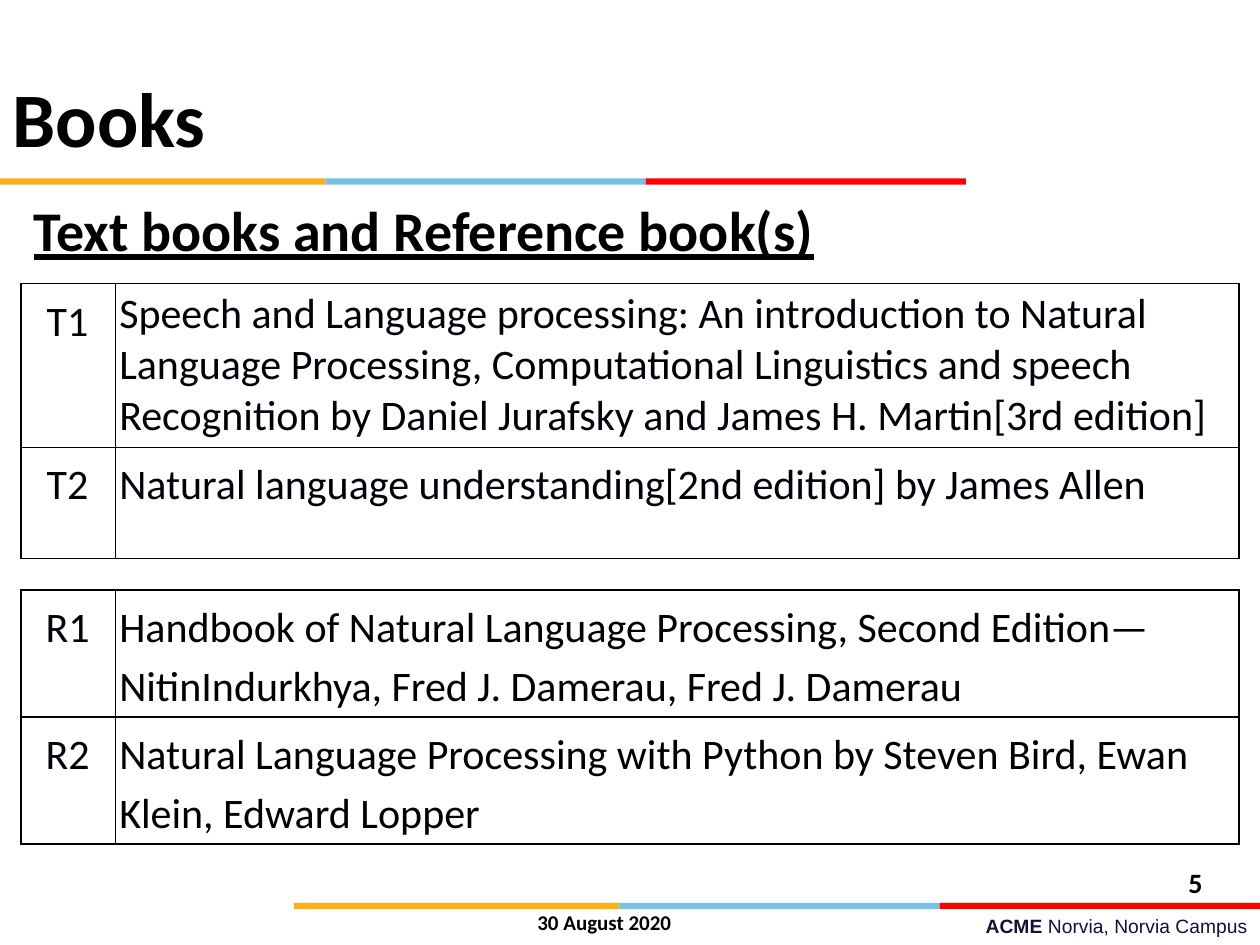
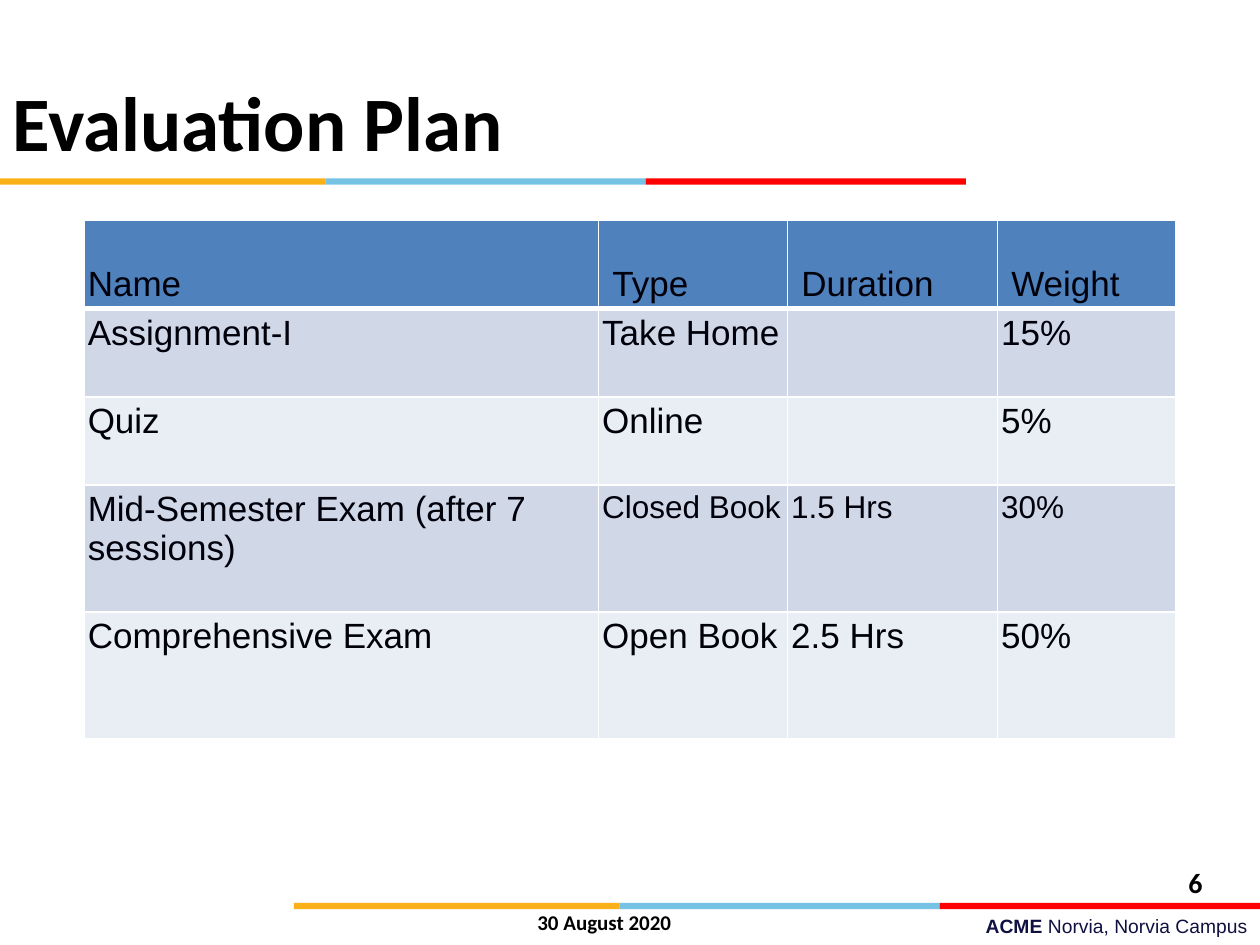
from dataclasses import dataclass
from itertools import accumulate
from typing import Optional

from lxml.etree import SubElement
from pptx import Presentation
from pptx.dml.color import RGBColor
from pptx.enum.shapes import MSO_SHAPE
from pptx.enum.text import MSO_ANCHOR, MSO_AUTO_SIZE, PP_ALIGN
from pptx.oxml.ns import qn
from pptx.util import Inches, Pt

COLUMNS, ROWS = 120, 90  # slide grid
WIDTH, HEIGHT = Inches(10), Inches(7.5)


@dataclass(frozen=True)
class Theme:
    heading_font: str = "Calibri"
    plain_font: str = "Arial"
    black: str = "000000"
    ink: str = "00000A"
    navy: str = "101141"
    white: str = "FFFFFF"
    rule: str = "000001"
    header: str = "4F81BD"
    band_dark: str = "D0D8E8"
    band_light: str = "E9EDF4"
    stripes: tuple[str, ...] = ("FCB017", "76C2E5", "FF0000")
    title: int = 44
    subtitle: int = 32
    book: int = 24
    plan: int = 20
    plan_small: int = 18
    number: int = 16
    date: int = 12
    campus: int = 11


THEME = Theme()


@dataclass(frozen=True)
class Area:
    """A place on the slide, in grid columns and rows."""
    left: float
    top: float
    width: float
    height: float

    def emu(self) -> tuple[int, int, int, int]:
        return across(self.left), down(self.top), across(self.width), down(self.height)


@dataclass(frozen=True)
class Style:
    size: int
    color: str = THEME.black
    font: str = THEME.heading_font
    bold: bool = False
    align: PP_ALIGN = PP_ALIGN.LEFT


@dataclass(frozen=True)
class Cell:
    text: str
    style: Style
    fill: str = THEME.white
    spaced: bool = False
    anchor: MSO_ANCHOR = MSO_ANCHOR.TOP
    left_margin: float = 0.03
    bottom_line: Optional[int] = None


@dataclass(frozen=True)
class Grid:
    left: float
    top: float
    widths: tuple[float, ...]
    heights: tuple[float, ...]
    cells: list[list[Cell]]
    line: str


def across(columns: float) -> int:
    return round(WIDTH * columns / COLUMNS)


def down(rows: float) -> int:
    return round(HEIGHT * rows / ROWS)


def rgb(color: str) -> RGBColor:
    return RGBColor.from_string(color)


def set_paragraph(para, text: str, style: Style) -> None:
    para.text = text
    para.alignment = style.align
    font = para.font
    font.name, font.size, font.bold = style.font, Pt(style.size), style.bold
    font.color.rgb = rgb(style.color)


def place(box, area: Area) -> None:
    box.left, box.top, box.width, box.height = area.emu()


def add_text(page, area: Area, text: str, style: Style):
    box = page.shapes.add_textbox(*area.emu())
    box.text_frame.word_wrap = True
    para = box.text_frame.paragraphs[0]
    set_paragraph(para, text, style)
    return para


# Shared parts: stripes, title and footer

STRIPE_WIDTHS = (31, 30.5, 30.5)


def add_stripes(page, left: float, top: float) -> None:
    group = page.shapes.add_group_shape()
    starts = accumulate(STRIPE_WIDTHS, initial=left)
    for start, width, color in zip(starts, STRIPE_WIDTHS, THEME.stripes):
        stripe = group.shapes.add_shape(
            MSO_SHAPE.RECTANGLE, *Area(start, top, width, 0.6).emu())
        stripe.shadow.inherit = False
        stripe.fill.solid()
        stripe.fill.fore_color.rgb = rgb(color)
        stripe.line.fill.background()


def add_page(deck, layout: int, title: str, title_top: float, number: int):
    page = deck.slides.add_slide(deck.slide_layouts[layout])
    campus = add_text(page, Area(43, 86.5, 77, 3.5), "",
                      Style(THEME.campus, THEME.navy, THEME.plain_font,
                            align=PP_ALIGN.RIGHT))
    for text, bold in (("ACME ", True), ("Norvia, Norvia Campus", False)):
        span = campus.add_run()
        span.text, span.font.bold = text, bold
    add_stripes(page, 28, 86)
    add_stripes(page, 0, 17)

    heading = page.shapes.title
    place(heading, Area(0, title_top, 80.3, 11.2))
    heading.text_frame.vertical_anchor = MSO_ANCHOR.MIDDLE
    heading.text_frame.auto_size = MSO_AUTO_SIZE.NONE
    set_paragraph(heading.text_frame.paragraphs[0], title,
                  Style(THEME.title, bold=True))

    add_text(page, Area(50, 86, 24, 3.7), "30 August 2020", Style(THEME.date, bold=True))
    add_text(page, Area(112, 81.8, 8, 3.8), str(number), Style(THEME.number, bold=True))
    return page


# Tables

def add_borders(cell, color: str, bottom: Optional[int], top: Optional[int]) -> None:
    properties = cell._tc.get_or_add_tcPr()
    for side, points in (("L", 1), ("R", 1), ("T", top or 1), ("B", bottom or 1)):
        line = SubElement(properties, qn(f"a:ln{side}"), w=str(Pt(points)))
        fill = SubElement(line, qn("a:solidFill"))
        SubElement(fill, qn("a:srgbClr"), val=color)


def fill_cell(cell, content: Cell, line: str, top_line: Optional[int]) -> None:
    add_borders(cell, line, content.bottom_line, top_line)
    cell.fill.solid()
    cell.fill.fore_color.rgb = rgb(content.fill)
    cell.margin_left = Inches(content.left_margin)
    cell.margin_top = cell.margin_right = cell.margin_bottom = Inches(0.04)
    cell.vertical_anchor = content.anchor
    para = cell.text_frame.paragraphs[0]
    set_paragraph(para, content.text, content.style)
    if content.spaced:
        para.line_spacing, para.space_after = 1.15, Pt(10)


def add_grid(page, grid: Grid) -> None:
    area = Area(grid.left, grid.top, sum(grid.widths), sum(grid.heights))
    table = page.shapes.add_table(
        len(grid.heights), len(grid.widths), *area.emu()).table
    table.first_row = table.horz_banding = False
    for column, width in zip(table.columns, grid.widths):
        column.width = across(width)
    for index, (row, height) in enumerate(zip(table.rows, grid.heights)):
        row.height = down(height)
        for position, content in enumerate(grid.cells[index]):
            above = grid.cells[index - 1][position].bottom_line if index else None
            fill_cell(row.cells[position], content, grid.line, above)


# Books

def book_row(code: str, text: str, color: str, spaced: bool = True) -> list[Cell]:
    label = Style(THEME.book, THEME.ink, align=PP_ALIGN.CENTER)
    return [Cell(code, label, spaced=True),
            Cell(text, Style(THEME.book, color), spaced=spaced)]


def build_books(deck) -> None:
    page = add_page(deck, 1, "Books", 5.5, 5)
    body = page.placeholders[1]
    place(body, Area(2, 18, 116, 10))
    body.text_frame.auto_size = MSO_AUTO_SIZE.NONE
    para = body.text_frame.paragraphs[0]
    set_paragraph(para, "Text books and Reference book(s)",
                  Style(THEME.subtitle, bold=True))
    para.font.underline = True
    SubElement(para._p.get_or_add_pPr(), qn("a:buNone"))
    # Bullet setting comes before the run defaults
    properties = para._p.pPr
    properties.insert(0, properties[-1])

    text_books = [
        book_row("T1", "Speech and Language processing: An introduction to Natural "
                 "Language Processing, Computational Linguistics and speech "
                 "Recognition by Daniel Jurafsky and James H. Martin[3rd edition]",
                 THEME.ink, spaced=False),
        book_row("T2", "Natural language understanding[2nd edition] by James Allen",
                 THEME.ink),
    ]
    reference_books = [
        book_row("R1", "Handbook of Natural Language Processing, Second Edition—"
                 "NitinIndurkhya, Fred J. Damerau, Fred J. Damerau", THEME.black),
        book_row("R2", "Natural Language Processing with Python by Steven Bird, "
                 "Ewan Klein, Edward Lopper", THEME.black),
    ]
    for top, heights, books in ((27, (15.6, 10.6), text_books),
                                (56.2, (12.1, 12.1), reference_books)):
        add_grid(page, Grid(2, top, (9, 107), heights, books, THEME.rule))


# Evaluation plan

PLAN_HEADER = ("Name", "Type", "Duration", "Weight")
PLAN = (
    ("Assignment-I", "Take Home", "", "15%"),
    ("Quiz", "Online", "", "5%"),
    ("Mid-Semester Exam (after 7 sessions)", "Closed Book", "1.5 Hrs", "30%"),
    ("Comprehensive Exam", "Open Book", "2.5 Hrs", "50%"),
)
SMALL_ROW = 2


def build_evaluation(deck) -> None:
    page = add_page(deck, 5, "Evaluation Plan", 5.9, 6)
    regular = Style(THEME.plan, THEME.ink, THEME.plain_font)
    small = Style(THEME.plan_small, THEME.ink, THEME.plain_font)
    cells = [[Cell(text, regular, THEME.header, anchor=MSO_ANCHOR.BOTTOM,
                   left_margin=0.11 if column else 0.03, bottom_line=3)
              for column, text in enumerate(PLAN_HEADER)]]
    for index, row in enumerate(PLAN):
        fill = THEME.band_light if index % 2 else THEME.band_dark
        cells.append([Cell(text, small if index == SMALL_ROW and column else regular, fill)
                      for column, text in enumerate(row)])
    add_grid(page, Grid(8, 21, (49, 18, 20, 17), (8.4, 8.4, 8.4, 12.1, 12.1),
                        cells, THEME.white))


def main() -> None:
    deck = Presentation()
    deck.slide_width, deck.slide_height = WIDTH, HEIGHT
    build_books(deck)
    build_evaluation(deck)
    deck.save("out.pptx")


if __name__ == "__main__":
    main()
